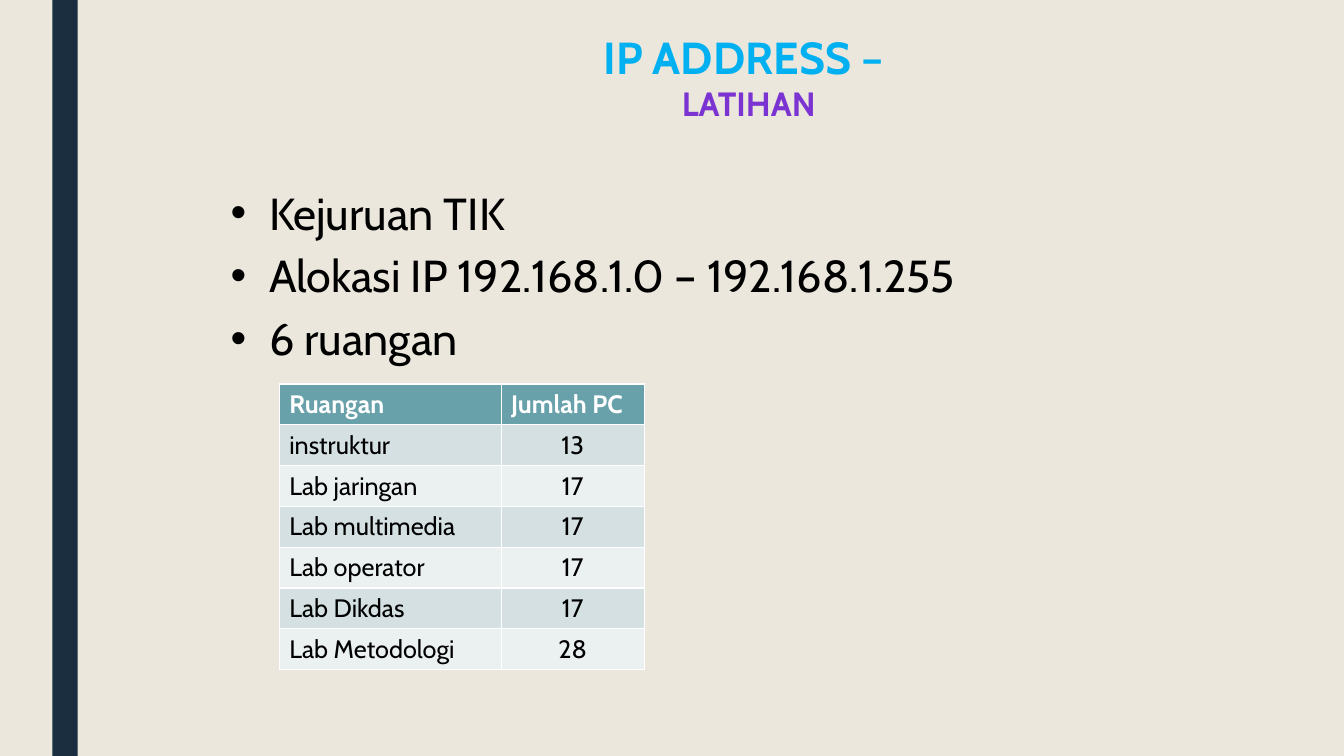
"""Build the IP address exercise slide with its room table."""
import pptx
import pptx.chart.data
import pptx.dml.color
import pptx.enum.shapes
import pptx.enum.text
import pptx.oxml
import pptx.oxml.ns
import pptx.util
from lxml import etree

Inches = pptx.util.Inches
Align = pptx.enum.text.PP_ALIGN
FONT = "Cabin"
TITLE = [("IP ADDRESS – ", 32, "00B0F0"), ("LATIHAN", 24, "7B34D2")]
BULLETS = ["Kejuruan TIK", "Alokasi IP 192.168.1.0 – 192.168.1.255", "6 ruangan"]
ROOMS = [
    ("Ruangan", "Jumlah PC"),
    ("instruktur", "13"),
    ("Lab jaringan", "17"),
    ("Lab multimedia", "17"),
    ("Lab operator", "17"),
    ("Lab Dikdas", "17"),
    ("Lab Metodologi", "28"),
]
COLUMN_WIDTHS = [2.2, 1.42]
ROW_HEIGHT = 0.405
HEADER_FILL, BAND_FILLS = "69A1AB", ["D4E0E2", "EBF0F1"]


def color(value):
    return pptx.dml.color.RGBColor.from_string(value)


def paint(fill, value):
    fill.solid()
    fill.fore_color.rgb = color(value)


def set_font(para, size, value, bold=False):
    para.font.name = FONT
    para.font.size = pptx.util.Pt(size)
    para.font.bold = bold
    para.font.color.rgb = color(value)


def add_bullet(para):
    properties = para._p.get_or_add_pPr()
    properties.set("marL", str(Inches(0.38)))
    properties.set("indent", str(-Inches(0.38)))
    for tag, name, value in (("a:buFont", "typeface", "Arial"), ("a:buChar", "char", "•")):
        etree.SubElement(properties, pptx.oxml.ns.qn(tag)).set(name, value)


def paragraphs(frame, texts):
    frame.text = "\n".join(texts)
    return frame.paragraphs


def add_title(page):
    title = page.shapes.title
    title.left, title.top = Inches(4.04), Inches(0.24)
    title.width, title.height = Inches(6.77), Inches(1.45)
    frame = title.text_frame
    frame.auto_size = pptx.enum.text.MSO_AUTO_SIZE.NONE
    frame.vertical_anchor = pptx.enum.text.MSO_ANCHOR.TOP
    lines = paragraphs(frame, [text for text, size, value in TITLE])
    for para, (text, size, value) in zip(lines, TITLE):
        para.alignment = Align.CENTER
        set_font(para, size, value, True)


def add_bullets(page):
    box = page.shapes.add_textbox(Inches(2.19), Inches(1.79), Inches(9), Inches(4.95))
    box.text_frame.word_wrap = True
    for index, para in enumerate(paragraphs(box.text_frame, BULLETS)):
        if index:
            para.space_before = pptx.util.Pt(6.4)
        add_bullet(para)
        set_font(para, 32, "000000")


def add_rooms(page):
    table = page.shapes.add_table(
        len(ROOMS), len(COLUMN_WIDTHS), Inches(2.77), Inches(3.81),
        Inches(sum(COLUMN_WIDTHS)), Inches(ROW_HEIGHT * len(ROOMS))).table
    for column, width in zip(table.columns, COLUMN_WIDTHS):
        column.width = Inches(width)
    for row, values in enumerate(ROOMS):
        header = row == 0
        for column, text in enumerate(values):
            cell = table.cell(row, column)
            paint(cell.fill, HEADER_FILL if header else BAND_FILLS[(row - 1) % 2])
            cell.text = text
            para = cell.text_frame.paragraphs[0]
            set_font(para, 18, "FFFFFF" if header else "000000", header)
            if column and not header:
                para.alignment = Align.CENTER


def main():
    deck = pptx.Presentation()
    deck.slide_width, deck.slide_height = Inches(13.33), Inches(7.5)
    page = deck.slides.add_slide(deck.slide_layouts[5])
    paint(page.background.fill, "EBE7DD")
    stripe = page.shapes.add_shape(
        pptx.enum.shapes.MSO_SHAPE.RECTANGLE, Inches(0.52), 0, Inches(0.25), Inches(7.5))
    stripe.shadow.inherit = False
    paint(stripe.fill, "1A2E40")
    stripe.line.fill.background()
    add_title(page)
    add_bullets(page)
    add_rooms(page)
    deck.save("out.pptx")


if __name__ == "__main__":
    main()
